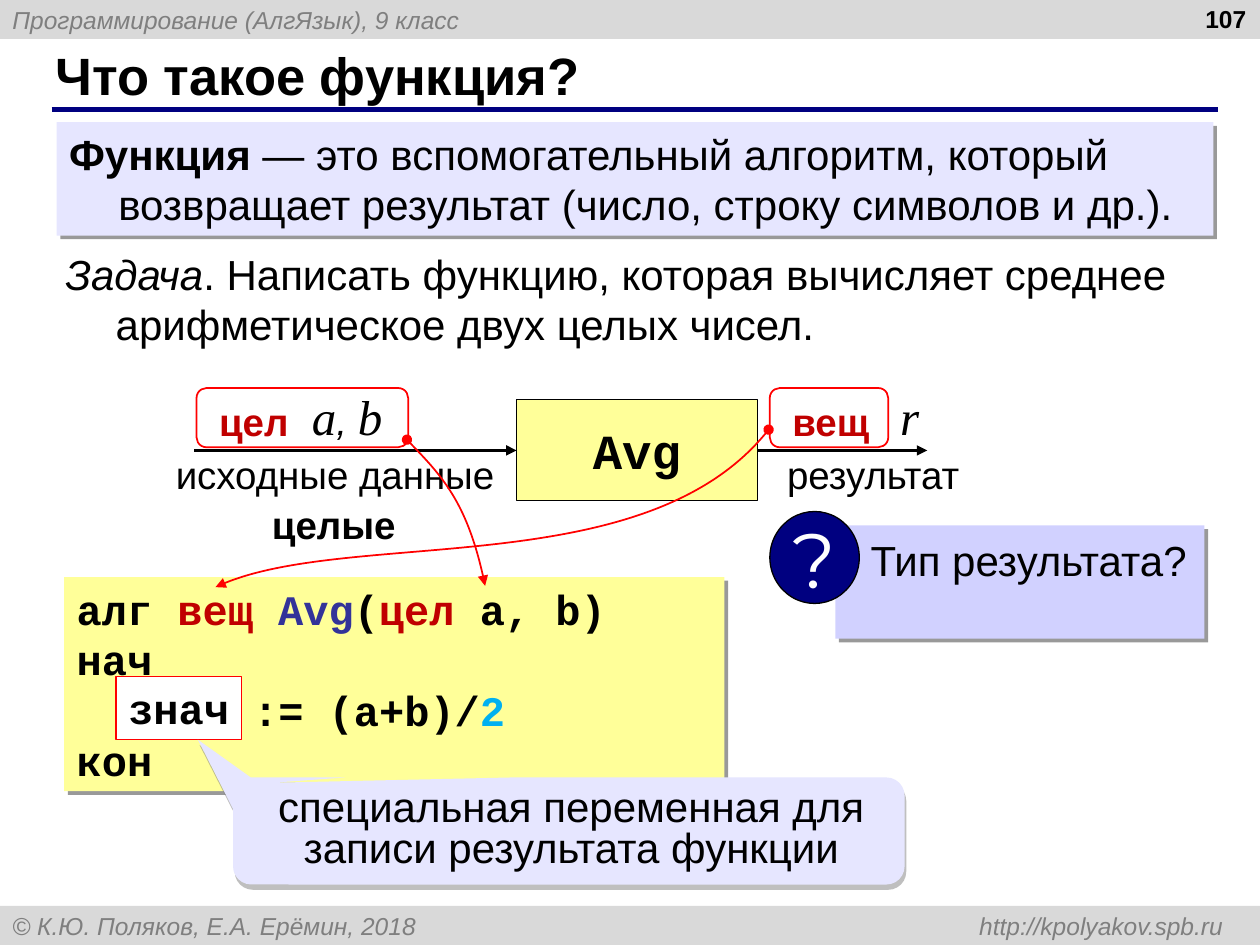
from lxml.etree import SubElement
from pptx import Presentation
from pptx.dml.color import RGBColor
from pptx.enum.shapes import MSO_CONNECTOR, MSO_SHAPE
from pptx.enum.text import MSO_ANCHOR, PP_ALIGN
from pptx.oxml.ns import qn
from pptx.util import Inches, Pt

COLORS = {
    "bar": "D9D9D9", "grey": "7F7F7F", "black": "000000", "navy": "000080",
    "lilac": "E6E6FF", "violet": "D1D1FF", "yellow": "FFFF99", "white": "FFFFFF",
    "keyword": "C00000", "name": "333399", "number": "00B0F0", "red": "FF0000",
    "shade": "808080",
}
HARD = ("black", 40, 3, 45)
SOFT = ("shade", 50, 3.2, 72)

STYLES = {
    "footer": dict(name="Arial", size=14, italic=True, color="grey"),
    "page": dict(name="Arial", size=14, bold=True),
    "title": dict(name="Arial", size=30, bold=True),
    "body": dict(name="Arial", size=24),
    "term": dict(name="Arial", size=24, bold=True),
    "task": dict(name="Arial", size=24, italic=True),
    "block": dict(name="Courier New", size=28, bold=True),
    "variable": dict(name="Times New Roman", size=28, italic=True),
    "comma": dict(name="Arial", size=22, italic=True),
    "label": dict(name="Arial", size=22),
    "strong": dict(name="Arial", size=22, bold=True),
    "type": dict(name="Arial", size=22, bold=True, color="keyword"),
    "question": dict(name="Montserrat", size=44, color="white"),
}
CODE = dict(name="Courier New", size=24, bold=True)
STYLES |= {"code": CODE} | {f"code {c}": CODE | {"color": c} for c in ("keyword", "name", "number")}

PROGRAM = [
    [("алг ", "code"), ("вещ ", "code keyword"), ("Avg", "code name"), ("(", "code"),
     ("цел ", "code keyword"), ("a, b)", "code")],
    [("нач", "code")],
    [("  знач := (a+b)/", "code"), ("2", "code number")],
    [("кон", "code")],
]
DEFINITION = [[("Функция", "term"), (" — это вспомогательный алгоритм, который возвращает "
                                     "результат (число, строку символов и др.).", "body")]]
TASK = [[("Задача", "task"), (". Написать функцию, которая вычисляет среднее "
                              "арифметическое двух целых чисел.", "body")]]
RECT, ROUND = MSO_SHAPE.RECTANGLE, MSO_SHAPE.ROUNDED_RECTANGLE
CENTER, RIGHT = PP_ALIGN.CENTER, PP_ALIGN.RIGHT

deck = Presentation()
deck.slide_width, deck.slide_height = Inches(10), Inches(7.5)
slide = deck.slides.add_slide(deck.slide_layouts[6])
COLUMN, ROW = deck.slide_width / 100, deck.slide_height / 75


def place(*cells):
    return [round(cell * unit) for cell, unit in zip(cells, (COLUMN, ROW) * 2)]


def color(key):
    return RGBColor.from_string(COLORS[key])


def apply_effects(part, shadow=None):
    for old in part._element.spPr.findall(qn("a:effectLst")):
        part._element.spPr.remove(old)
    effects = SubElement(part._element.spPr, qn("a:effectLst"))
    if shadow:
        tint, opacity, distance, angle = shadow
        outer = SubElement(effects, qn("a:outerShdw"), blurRad="0", dist=str(Pt(distance)),
                           dir=str(angle * 60000), algn="tl", rotWithShape="0")
        srgb = SubElement(outer, qn("a:srgbClr"), val=COLORS[tint])
        SubElement(srgb, qn("a:alpha"), val=str(opacity * 1000))


def paint(part, fill=None, line=None, shadow=None):
    if fill:
        part.fill.solid()
        part.fill.fore_color.rgb = color(fill)
    else:
        part.fill.background()
    stroke(part, line)
    apply_effects(part, shadow)


def stroke(part, line, head=None, tail=None):
    if not line:
        part.line.fill.background()
        return
    part.line.color.rgb, part.line.width = color(line[0]), Pt(line[1])
    for end, kind in (("a:headEnd", head), ("a:tailEnd", tail)):
        if kind:
            SubElement(part.line._get_or_add_ln(), qn(end), type=kind)


def write(part, paragraphs, align=PP_ALIGN.LEFT, middle=False, wrap=True,
          insets=(0.1, 0.05, 0.1, 0.05), hang=0, spacing=None, tab=None):
    frame = part.text_frame
    margins = zip(("margin_left", "margin_top", "margin_right", "margin_bottom"), map(Inches, insets))
    anchor = MSO_ANCHOR.MIDDLE if middle else MSO_ANCHOR.TOP
    for attribute, value in (*margins, ("word_wrap", wrap), ("vertical_anchor", anchor)):
        setattr(frame, attribute, value)
    for index, runs in enumerate(paragraphs):
        paragraph = frame.add_paragraph() if index else frame.paragraphs[0]
        paragraph.alignment = align
        if spacing:
            paragraph.line_spacing = spacing
        properties = paragraph._p.get_or_add_pPr()
        if hang:
            properties.set("marL", str(Inches(hang)))
            properties.set("indent", str(-Inches(hang)))
        if tab:
            stops = SubElement(properties, qn("a:tabLst"))
            SubElement(stops, qn("a:tab"), pos=str(Inches(tab)), algn="r")
        for text, style in runs:
            run = paragraph.add_run()
            run.text = text
            look = {"bold": False, "italic": False, "color": "black"} | STYLES[style]
            run.font.color.rgb = color(look.pop("color"))
            look["size"] = Pt(look["size"])
            for attribute, value in look.items():
                setattr(run.font, attribute, value)


def text(at, paragraphs, **layout):
    write(slide.shapes.add_textbox(*place(*at)), paragraphs, **layout)


def shape(kind, at, paragraphs=(), fill=None, line=None, shadow=None, **layout):
    part = slide.shapes.add_shape(kind, *place(*at))
    paint(part, fill, line, shadow)
    if paragraphs:
        write(part, paragraphs, **layout)
    return part


def connector(start, end, line, tail=None):
    part = slide.shapes.add_connector(MSO_CONNECTOR.STRAIGHT, *place(*start, *end))
    stroke(part, line, tail=tail)
    apply_effects(part)


def outline(points, close):
    first, *others = [place(*point) for point in points]
    builder = slide.shapes.build_freeform(*first)
    builder.add_line_segments(others, close=close)
    return builder.convert_to_shape()


def curve(points):
    part = outline(points, close=False)
    segments = list(part._element.iter(qn("a:lnTo")))
    bezier = SubElement(segments[0].getparent(), qn("a:cubicBezTo"))
    for segment in segments:
        bezier.append(segment[0])
        segment.getparent().remove(segment)
    paint(part)
    stroke(part, ("red", 1), head="oval", tail="triangle")


shape(RECT, (0, 0, 100, 3.1), [[("Программирование (АлгЯзык), 9 класс", "footer")]],
      fill="bar", middle=True)
shape(RECT, (0, 71.9, 100, 3.1),
      [[("© К.Ю. Поляков, Е.А. Ерёмин, 2018\thttp://kpolyakov.spb.ru", "footer")]],
      fill="bar", middle=True, tab=9.61)
connector((4.1, 8.7), (96.7, 8.7), ("navy", 3))
text((3.4, 3.3, 91.6, 5.2), [[("Что такое функция?", "title")]], middle=True)
text((76.6, -0.2, 23.3, 5.2), [[("107", "page")]], align=RIGHT)
shape(RECT, (4.5, 9.7, 91.8, 9), DEFINITION, fill="lilac", shadow=HARD, hang=0.39)
text((4.2, 19.2, 92.7, 9), TASK, hang=0.4)

shape(RECT, (41, 31.7, 19.1, 8), [[("Avg", "block")]], fill="yellow", line=("black", 0.25),
      align=CENTER, middle=True)
for left, right in ((60.1, 73.6), (15.4, 41)):
    connector((left, 35.75), (right, 35.75), ("black", 1.5), tail="triangle")
for at, runs in (
    ((20.4, 30.7, 14.3, 5.3), [("a", "variable"), (", ", "comma"), ("b", "variable")]),
    ((68.5, 30.7, 7.4, 5.3), [("r", "variable")]),
    ((13.3, 35.8, 26.6, 5.3), [("исходные данные", "label")]),
    ((60.4, 35.8, 17.8, 5.3), [("результат", "label")]),
):
    text(at, [runs], align=CENTER, insets=(0, 0, 0, 0))
for at, word, style in (
    ((20.6, 39.3, 11.8, 4.7), "целые", "strong"),
    ((16.4, 31.1, 7.5, 4.7), "цел", "type"),
    ((61.9, 31.1, 8.1, 4.7), "вещ", "type"),
):
    text(at, [[(word, style)]], wrap=False)

shape(RECT, (66.3, 41.7, 29.3, 9), [[("Тип результата?", "body")]], fill="violet", shadow=HARD,
      insets=(0.28, 0.07, 0.1, 0.05))
shape(MSO_SHAPE.OVAL, (61.1, 40.6, 7.1, 7.3), [[("?", "question")]], fill="navy",
      line=("black", 0.75), align=CENTER, middle=True, wrap=False)
shape(RECT, (5.1, 45.8, 52.4, 17), PROGRAM, fill="yellow", shadow=HARD)

for at, route in (
    ((15.6, 30.8, 16.8, 4.7), [(32.3, 34.9), (34.9, 37.6), (37.2, 40), (38.5, 46.5)]),
    ((61.1, 30.8, 9.4, 4.7), [(61, 34.1), (51.4, 46.3), (27.2, 41.8), (17.1, 46.6)]),
):
    shape(ROUND, at, line=("red", 1))
    curve(route)

shape(RECT, (9.2, 53.7, 10, 5), [[("знач", "code")]], fill="white", line=("red", 0.75), wrap=False)
paint(outline([(19.9, 61.7), (15.7, 58.7), (18.5, 64.2)], close=True), "lilac", shadow=SOFT)
callout = shape(MSO_SHAPE.ROUNDED_RECTANGULAR_CALLOUT, (18.5, 61.7, 53.3, 8.5),
                [[("специальная переменная для записи результата функции", "body")]],
                fill="lilac", shadow=SOFT, align=CENTER, middle=True, spacing=0.8,
                insets=(0.06, 0.05, 0.02, 0.05))
callout._element.spPr.xfrm.set("flipH", "1")
for index, value in enumerate((0.44, -0.45, 0.17)):
    callout.adjustments[index] = value

deck.save("out.pptx")
